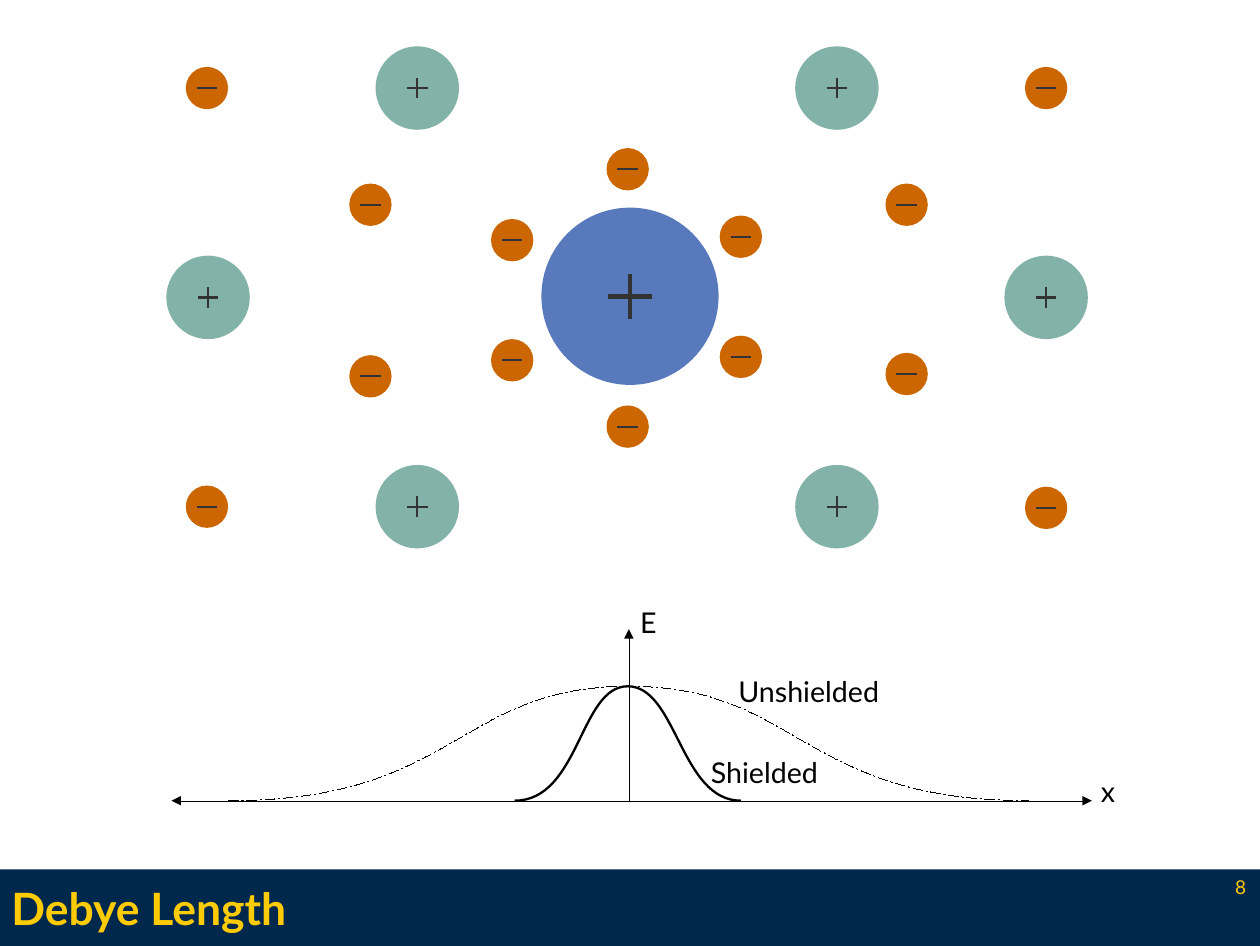
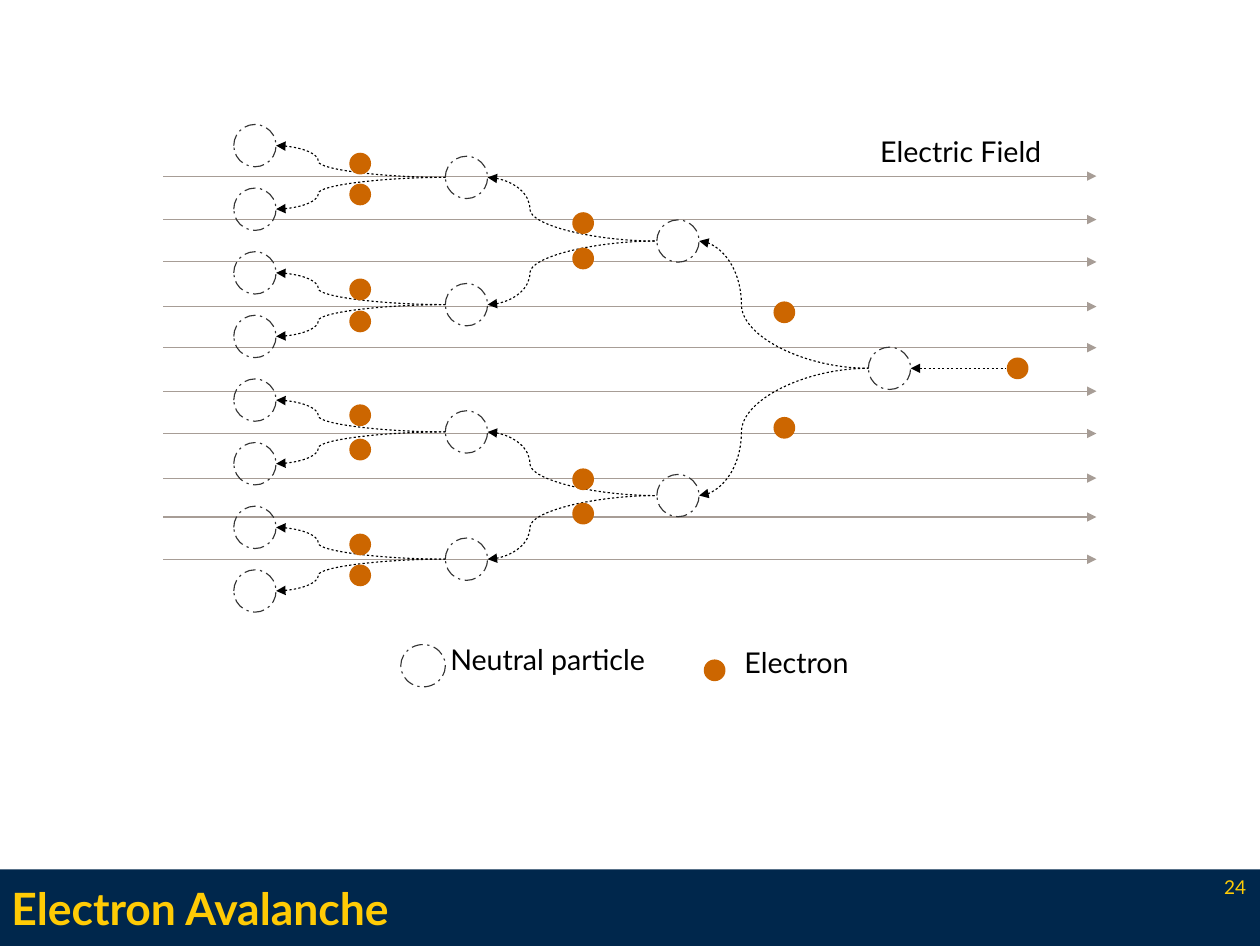
from lxml import etree
from pptx import Presentation
from pptx.dml.color import RGBColor
from pptx.enum.shapes import MSO_CONNECTOR, MSO_SHAPE
from pptx.enum.text import MSO_ANCHOR, PP_ALIGN
from pptx.oxml.ns import qn
from pptx.util import Inches, Pt

STRAIGHT, CURVE = MSO_CONNECTOR.STRAIGHT, MSO_CONNECTOR.CURVE
ELLIPSE, RECTANGLE = MSO_SHAPE.OVAL, MSO_SHAPE.RECTANGLE
LEFT, RIGHT, MIDDLE = PP_ALIGN.LEFT, PP_ALIGN.RIGHT, MSO_ANCHOR.MIDDLE

NAVY = RGBColor(0x00, 0x27, 0x4C)
MAIZE = RGBColor(0xFF, 0xCB, 0x05)
TEAL = RGBColor(0x83, 0xB2, 0xA8)
BLUE = RGBColor(0x58, 0x7A, 0xBC)
ORANGE = RGBColor(0xCC, 0x66, 0x00)
CHARCOAL = RGBColor(0x33, 0x33, 0x33)
TAUPE = RGBColor(0xA7, 0x9D, 0x96)
BLACK = RGBColor(0x00, 0x00, 0x00)

# Dash patterns: (dash, gap) pairs in line widths
DASH_DOT = [(10, 4), (2, 4)]
DOTS = [(2, 2)]

TITLE_FONT = {"name": "Lato", "size": Pt(28), "bold": True}
LABEL_FONT = {"name": "Lato", "size": Pt(18)}
NUMBER_FONT = {"name": "Lato", "size": Pt(12)}
NO_MARGINS = {"margin_left": 0, "margin_top": 0, "margin_right": 0, "margin_bottom": 0}


def style_line(shape, color, width, dash=(), ends=()):
    """Format an outline without shadow; ends names the arrowheads (headEnd, tailEnd)."""
    shape.line.color.rgb = color
    properties = shape.element.spPr
    outline = properties.find(qn("a:ln"))
    outline.set("w", str(int(Pt(width))))
    if dash:
        pattern = etree.SubElement(outline, qn("a:custDash"))
        for length, gap in dash:
            etree.SubElement(pattern, qn("a:ds"), d=str(length * 100000), sp=str(gap * 100000))
    for name in ends:
        etree.SubElement(outline, qn("a:" + name), type="triangle")
    etree.SubElement(properties, qn("a:effectLst"))


def add_circle(shapes, x, y, size, fill=None, width=None):
    """Circle centred on x, y: filled, or a dashed outline when no fill is given."""
    width = width or size
    circle = shapes.add_shape(ELLIPSE, Inches(x - width / 2), Inches(y - size / 2),
                              Inches(width), Inches(size))
    if fill is None:
        circle.fill.background()
        style_line(circle, CHARCOAL, 0.71, DASH_DOT)
    else:
        circle.shadow.inherit = False
        circle.fill.solid()
        circle.fill.fore_color.rgb = fill
        circle.line.fill.background()


presentation = Presentation()
presentation.slide_width, presentation.slide_height = Inches(11.02), Inches(8.27)
layout = presentation.slide_layouts[5]
debye = presentation.slides.add_slide(layout)
avalanche = presentation.slides.add_slide(layout)

# Shared layout: navy band behind the title
band = debye.shapes.add_shape(RECTANGLE, 0, Inches(7.6), Inches(11.02), Inches(0.67))
band.shadow.inherit = False
band.fill.solid()
band.fill.fore_color.rgb = NAVY
band.line.fill.background()
layout.shapes.element.insert(2, band.element)
layout_title = layout.placeholders[0]
title_place = {"left": Inches(0.1), "top": Inches(7.6), "width": Inches(9.1), "height": Inches(0.67)}
for name, value in title_place.items():
    setattr(layout_title, name, value)

# Debye: charged particles, each a circle with its sign
ions = [(3.65, 0.77), (7.32, 0.77), (1.82, 2.6), (9.15, 2.6), (3.65, 4.43), (7.32, 4.43)]
electrons = [(1.81, 0.77), (9.15, 0.77), (5.49, 1.48), (3.24, 1.79), (7.93, 1.79),
             (4.48, 2.1), (6.48, 2.07), (4.48, 3.15), (6.48, 3.12), (3.24, 3.29),
             (7.93, 3.27), (5.49, 3.73), (1.81, 4.43), (9.15, 4.44)]
particle_kinds = [  # centres, diameter, fill, sign length, sign weight, positive
    ([(5.51, 2.59)], 1.55, BLUE, 0.39, 2.89, True),
    (ions, 0.73, TEAL, 0.18, 1.45, True),
    (electrons, 0.37, ORANGE, 0.18, 1.45, False),
]
for centres, diameter, fill, length, weight, positive in particle_kinds:
    for x, y in centres:
        particle = debye.shapes.add_group_shape().shapes
        add_circle(particle, x, y, diameter, fill)
        strokes = [(x - length / 2, y, x + length / 2, y)]
        if positive:
            strokes.append((x, y - length / 2, x, y + length / 2))
        for stroke in strokes:
            sign = particle.add_connector(STRAIGHT, *[Inches(value) for value in stroke])
            style_line(sign, CHARCOAL, weight)

# Debye: axes
axes = [((1.5, 7, 9.55, 7), ("headEnd", "tailEnd")), ((5.5, 5.5, 5.5, 7), ("headEnd",))]
for ends, arrowheads in axes:
    axis = debye.shapes.add_connector(STRAIGHT, *[Inches(value) for value in ends])
    style_line(axis, BLACK, 0, ends=arrowheads)

# Debye: field curves, each of two Bézier segments (two control points and an end)
field_curves = [
    ((2, 7), [((4, 7), (4, 6), (5.5, 6)), ((7, 6), (7, 7), (9, 7))], 0, [(8, 3), (1, 3)]),
    ((4.5, 7), [((5.07, 7), (5.07, 6), (5.49, 6)), ((5.92, 6), (5.95, 7), (6.48, 7))], 1.45, ()),
]
for start, segments, weight, dash in field_curves:
    builder = debye.shapes.build_freeform(Inches(start[0]), Inches(start[1]), scale=1.0)
    builder.add_line_segments([(Inches(x), Inches(y)) for *_, (x, y) in segments], close=False)
    curve = builder.convert_to_shape()
    straight_parts = list(curve.element.iter(qn("a:lnTo")))
    for straight_part, segment in zip(straight_parts, segments):
        bezier = etree.Element(qn("a:cubicBezTo"))
        for x, y in segment:
            etree.SubElement(bezier, qn("a:pt"), x=str(Inches(x) - curve.left),
                             y=str(Inches(y) - curve.top))
        straight_part.getparent().replace(straight_part, bezier)
    curve.fill.background()
    style_line(curve, BLACK, weight, dash)

# Avalanche: electric field lines
for y in (1.54, 1.92, 2.29, 2.68, 3.04, 3.42, 3.79, 4.18, 4.52, 4.89):
    field_line = avalanche.shapes.add_connector(STRAIGHT, Inches(1.43), Inches(y),
                                                Inches(9.59), Inches(y))
    style_line(field_line, TAUPE, 0.71, ends=("tailEnd",))

# Avalanche: neutral particles double with each generation to the left
ROOT_X, ROOT_Y, STEP_X, SPREAD, NEUTRAL, ELECTRON = 7.78, 3.22, 1.85, 4.45, 0.37, 0.19
paths = [(STRAIGHT, (ROOT_X + NEUTRAL / 2, ROOT_Y, 8.8, ROOT_Y))]
parents = []
for generation in range(4):
    count = 2 ** generation
    x = ROOT_X - generation * STEP_X
    centres = [ROOT_Y + (i - (count - 1) / 2) * SPREAD / count for i in range(count)]
    for i, y in enumerate(centres):
        add_circle(avalanche.shapes, x, y, NEUTRAL)
        if parents:
            paths.append((CURVE, (x + NEUTRAL / 2, y, x + STEP_X - NEUTRAL / 2, parents[i // 2])))
    parents = centres

# Avalanche: dotted electron paths
for kind, ends in paths:
    electron_path = avalanche.shapes.add_connector(kind, *[Inches(value) for value in ends])
    style_line(electron_path, BLACK, 0.71, DOTS, ("headEnd",))
    if kind == CURVE:
        adjustments = next(electron_path.element.iter(qn("a:avLst")))
        etree.SubElement(adjustments, qn("a:gd"), name="adj1", fmla="val 25000")

# Avalanche: electrons by column
electron_columns = {
    3.15: (1.43, 1.7, 2.53, 2.81, 3.63, 3.93, 4.76, 5.03),
    5.1: (1.95, 2.26, 4.19, 4.49),
    6.86: (2.73, 3.74),
    8.9: (ROOT_Y,),
}
for x, heights in electron_columns.items():
    for y in heights:
        add_circle(avalanche.shapes, x, y, ELECTRON, ORANGE)

# Avalanche: legend symbols
add_circle(avalanche.shapes, 3.7, 5.82, NEUTRAL, width=0.39)
add_circle(avalanche.shapes, 6.25, 5.86, ELECTRON, ORANGE)

# Titles, labels and page numbers
slide_texts = [
    (debye, "Debye Length", "8",
     [("E", 5.5, 5.24, 0.36, LEFT), ("x", 9.53, 6.72, 0.32, LEFT),
      ("Unshielded", 6.36, 5.84, 1.45, LEFT), ("Shielded", 6.12, 6.55, 1.17, LEFT)]),
    (avalanche, "Electron Avalanche", "24",
     [("Electric Field", 7.6, 1.12, 1.99, LEFT), ("Neutral particle", 3.84, 5.56, 2, LEFT),
      ("Electron", 6.32, 5.59, 1.2, RIGHT)]),
]
for slide, title, number, labels in slide_texts:
    slide.shapes.title.text_frame.text = title
    slide.shapes.title.text_frame.vertical_anchor = MIDDLE
    texts = [(slide.shapes.title, TITLE_FONT, MAIZE, LEFT, NO_MARGINS)]
    for text, left, top, width, alignment in labels:
        box = slide.shapes.add_textbox(Inches(left), Inches(top), Inches(width), Inches(0.46))
        box.text_frame.text = text
        texts.append((box, LABEL_FONT, BLACK, alignment, {}))
    box = slide.shapes.add_textbox(Inches(9.58), Inches(7.65), Inches(1.32), Inches(0.27))
    box.text_frame.text = number
    texts.append((box, NUMBER_FONT, MAIZE, RIGHT, NO_MARGINS))
    for shape, font_format, color, alignment, margins in texts:
        frame = shape.text_frame
        frame.word_wrap = True
        for name, value in margins.items():
            setattr(frame, name, value)
        paragraph = frame.paragraphs[0]
        paragraph.alignment = alignment
        font = paragraph.runs[0].font
        for name, value in font_format.items():
            setattr(font, name, value)
        font.color.rgb = color

presentation.save("out.pptx")
